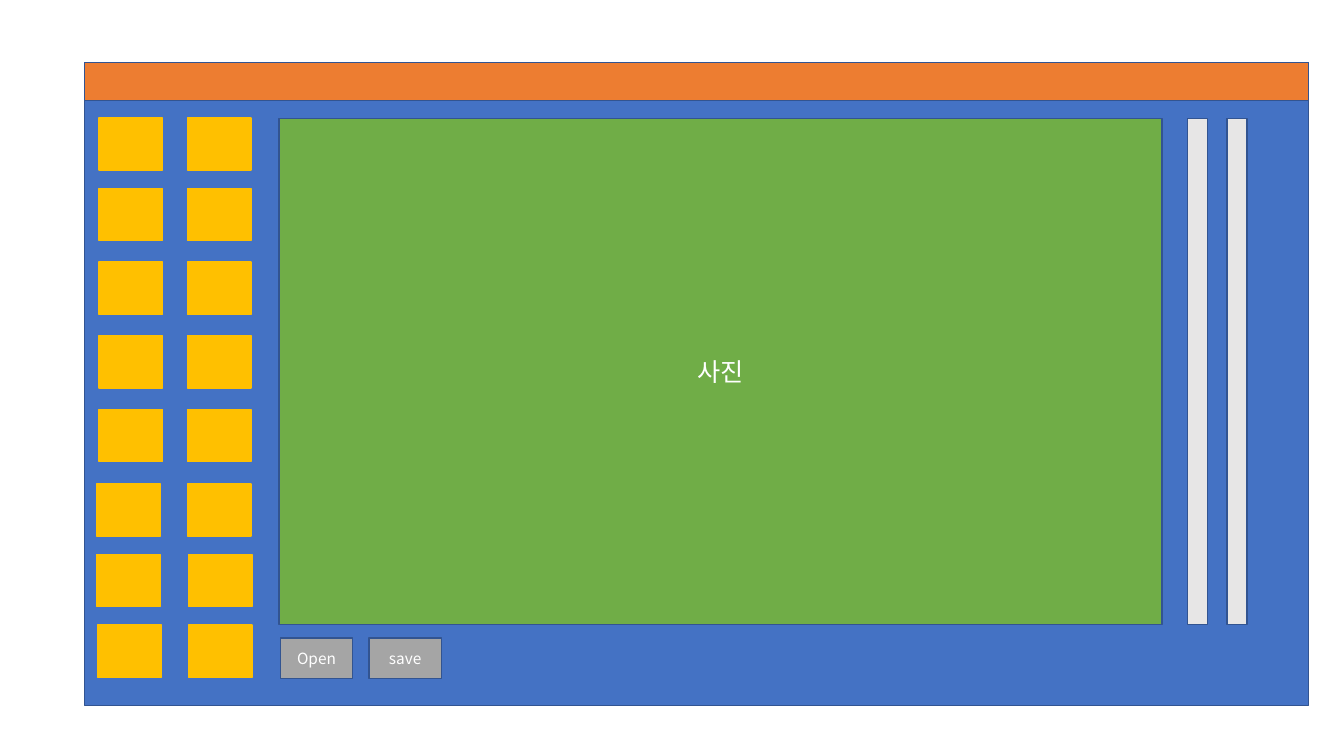
"""Build a wireframe slide of an image editor window."""
from dataclasses import dataclass

import lxml.etree
import pptx
import pptx.dml.color
import pptx.enum.shapes
import pptx.enum.text
import pptx.oxml.ns
import pptx.util
from pptx.util import Pt


@dataclass(frozen=True)
class Theme:
    """Colours, font and type sizes of the slide."""
    window: str = "4472C4"
    title_bar: str = "ED7D31"
    tool: str = "FFC000"
    photo: str = "70AD47"
    button: str = "A5A5A5"
    slider: str = "E7E6E6"
    outline: str = "325491"
    text: str = "FFFFFF"
    font: str = "Noto Sans CJK KR"
    photo_size: int = 18
    button_size: int = 11


class Wireframe:
    """Draws interface elements on the current slide in one theme."""

    def __init__(self, slide, theme):
        """Keep the slide and the theme."""
        self.slide = slide
        self.theme = theme

    def box(self, left, top, width, height, fill, outline=None):
        """Draw an outlined rectangle and return it."""
        shape = self.slide.shapes.add_shape(
            pptx.enum.shapes.MSO_SHAPE.RECTANGLE,
            Pt(left), Pt(top), Pt(width), Pt(height))
        shape.shadow.inherit = False
        shape.fill.solid()
        shape.fill.fore_color.rgb = pptx.dml.color.RGBColor.from_string(fill)
        shape.line.color.rgb = pptx.dml.color.RGBColor.from_string(
            outline or self.theme.outline)
        shape.line.width = Pt(1)
        return shape

    def label(self, shape, text, size):
        """Write centred text in a shape."""
        text_frame = shape.text_frame
        text_frame.text = text
        text_frame.vertical_anchor = pptx.enum.text.MSO_ANCHOR.MIDDLE
        paragraph = text_frame.paragraphs[0]
        paragraph.alignment = pptx.enum.text.PP_ALIGN.CENTER
        font = paragraph.runs[0].font
        font.size = Pt(size)
        font.name = self.theme.font
        font.color.rgb = pptx.dml.color.RGBColor.from_string(self.theme.text)
        properties = paragraph.runs[0]._r.get_or_add_rPr()
        east_asian = lxml.etree.SubElement(properties, pptx.oxml.ns.qn("a:ea"))
        east_asian.set("typeface", self.theme.font)

    def tool(self, left, top):
        """Draw one tool tile."""
        self.box(left, top, 45.4, 37.4, self.theme.tool, self.theme.tool)

    def button(self, left, text):
        """Draw one labelled button below the photo."""
        shape = self.box(left, 455.8, 51.8, 28.8, self.theme.button)
        self.label(shape, text, self.theme.button_size)

    def slider(self, left):
        """Draw one vertical slider beside the photo."""
        self.box(left, PHOTO_TOP, 14.4, PHOTO_HEIGHT, self.theme.slider)


WINDOW = (60.5, 44.6, 874.1)
PHOTO_TOP, PHOTO_HEIGHT = 84.6, 361.4

# Top of each tool row, then the left edges of its two tiles
TOOL_ROWS = [
    (84.2, 70.6, 133.9),
    (134.6, 70.6, 133.9),
    (187.2, 70.6, 133.9),
    (239.8, 70.6, 133.9),
    (292.3, 70.6, 133.9),
    (345.6, 69.1, 133.9),
    (396, 69.1, 134.6),
    (446.4, 69.8, 134.6),
]


def main():
    """Build and save the presentation."""
    presentation = pptx.Presentation()
    presentation.slide_width = Pt(960)
    presentation.slide_height = Pt(540)
    slide = presentation.slides.add_slide(presentation.slide_layouts[6])
    theme = Theme()
    wireframe = Wireframe(slide, theme)

    wireframe.box(*WINDOW, 459.4, theme.window)
    wireframe.box(*WINDOW, 27.4, theme.title_bar)
    for top, *lefts in TOOL_ROWS:
        for left in lefts:
            wireframe.tool(left, top)

    photo = wireframe.box(199.4, PHOTO_TOP, 630.7, PHOTO_HEIGHT, theme.photo)
    wireframe.label(photo, "사진", theme.photo_size)
    for left, text in ((200.2, "Open"), (263.5, "save")):
        wireframe.button(left, text)
    for left in (848.2, 876.5):
        wireframe.slider(left)

    presentation.save("out.pptx")


main()
